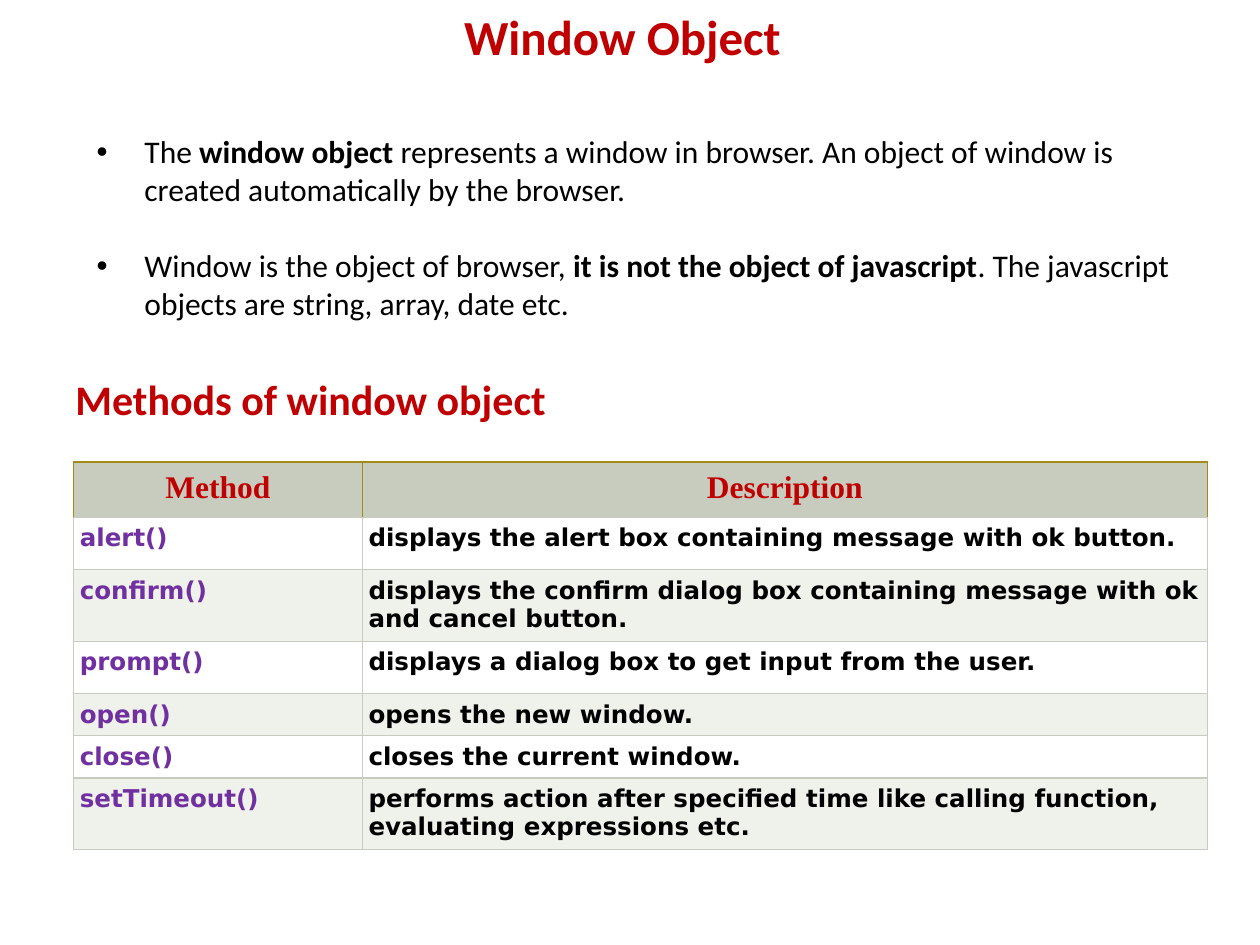
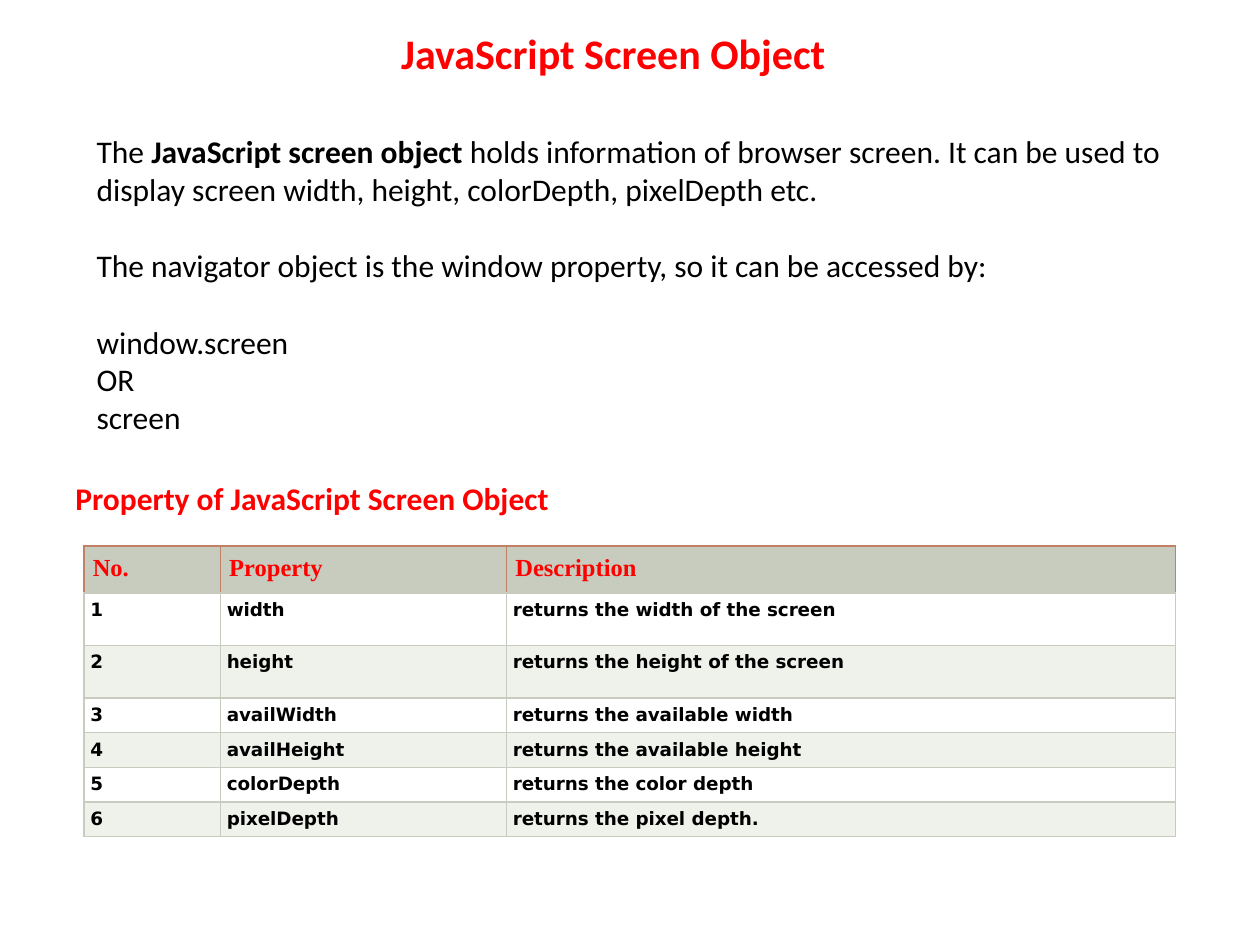
from dataclasses import dataclass
from typing import Any, NamedTuple

from lxml.etree import SubElement
from pptx import Presentation
from pptx.dml.color import RGBColor
from pptx.enum.text import MSO_ANCHOR as Anchor, MSO_AUTO_SIZE as AutoSize, PP_ALIGN as Align
from pptx.oxml.ns import qn
from pptx.util import Inches, Pt

# The slide is a grid of 120 columns by 90 rows, twelve to the inch.
GRID_PER_INCH = 12
SLIDE_COLUMNS, SLIDE_ROWS = 120, 90


@dataclass(frozen=True)
class Theme:
    text_font: str = "Calibri"
    header_font: str = "Times New Roman"
    cell_font: str = "DejaVu Sans"
    ink: str = "000000"
    deep_red: str = "C00000"
    bright_red: str = "FF0000"
    purple: str = "7030A0"
    olive: str = "A08C17"
    copper: str = "C08167"
    sage: str = "C7CCBE"
    bands: tuple[str, str] = ("FFFFFF", "EFF1EB")
    display: float = 28
    heading: float = 24
    body: float = 18
    small: float = 14
    tiny: float = 10.5
    blank_line: float = 22
    border: float = 0.75
    bullet_indent: float = 0.38
    header_inset: float = 0.07
    cell_inset: float = 0.05


THEME = Theme()


class Box(NamedTuple):
    """Left, top, width and height in grid units."""
    left: float
    top: float
    width: float
    height: float


class Heading(NamedTuple):
    text: str
    box: Box
    size: float


class Line(NamedTuple):
    """A body paragraph; text between double asterisks is bold."""
    text: str
    gap: float = 0


class Grid(NamedTuple):
    left: float
    top: float
    columns: tuple[float, ...]
    row_heights: tuple[float, ...]
    rows: tuple[tuple[str, ...], ...]
    header_size: float
    header_align: Align
    header_edge: str
    cell_size: float
    first_column_color: str


class Topic(NamedTuple):
    accent: str
    title: Heading
    body_box: Box
    bulleted: bool
    lines: tuple[Line, ...]
    subheading: Heading
    grid: Grid


TOPICS = (
    Topic(
        THEME.deep_red,
        Heading("Window Object", Box(43, 0, 32.9, 6.8), THEME.display),
        Box(8, 12, 105, 19.4),
        True,
        (
            Line("The **window object** represents a window in browser. "
                 "An object of window is created automatically by the browser."),
            Line("Window is the object of browser, **it is not the object of javascript**. "
                 "The javascript objects are string, array, date etc.", THEME.blank_line),
        ),
        Heading("Methods of window object", Box(6, 35, 47.6, 6), THEME.heading),
        Grid(
            7, 44, (27.5, 80.5), (3.6, 5, 5, 5, 3.1, 3.1, 5),
            (
                ("Method", "Description"),
                ("alert()", "displays the alert box containing message with ok button."),
                ("confirm()", "displays the confirm dialog box containing message "
                              "with ok and cancel button."),
                ("prompt()", "displays a dialog box to get input from the user."),
                ("open()", "opens the new window."),
                ("close()", "closes the current window."),
                ("setTimeout()", "performs action after specified time like calling function, "
                                 "evaluating expressions etc."),
            ),
            THEME.body, Align.CENTER, THEME.olive, THEME.small, THEME.purple,
        ),
    ),
    Topic(
        THEME.bright_red,
        Heading("JavaScript Screen Object", Box(37, 2, 43.2, 6), THEME.heading),
        Box(8, 12, 108, 30.2),
        False,
        (
            Line("The **JavaScript screen object** holds information of browser screen. "
                 "It can be used to display screen width, height, colorDepth, pixelDepth etc."),
            Line("The navigator object is the window property, so it can be accessed by:",
                 THEME.blank_line),
            Line("window.screen", THEME.blank_line),
            Line("OR"),
            Line("screen"),
        ),
        Heading("Property of JavaScript Screen Object", Box(6, 45, 47.9, 4.8), THEME.body),
        Grid(
            8, 52, (13, 27.25, 63.75), (3.6, 5, 5, 3.1, 3.1, 3.1, 3.1),
            (
                ("No.", "Property", "Description"),
                ("1", "width", "returns the width of the screen"),
                ("2", "height", "returns the height of the screen"),
                ("3", "availWidth", "returns the available width"),
                ("4", "availHeight", "returns the available height"),
                ("5", "colorDepth", "returns the color depth"),
                ("6", "pixelDepth", "returns the pixel depth."),
            ),
            THEME.small, Align.LEFT, THEME.copper, THEME.tiny, THEME.ink,
        ),
    ),
)


def units(count: float) -> int:
    return Inches(count / GRID_PER_INCH)


def apply(target: Any, values: dict[str, Any]) -> None:
    for name, value in values.items():
        setattr(target, name, value)


def style_font(font: Any, name: str, size: float, color: str, bold: bool) -> None:
    apply(font, {"name": name, "size": Pt(size), "bold": bold})
    font.color.rgb = RGBColor.from_string(color)


def place(shape: Any, box: Box) -> None:
    apply(shape, dict(zip(box._fields, map(units, box))))


def write_heading(shape: Any, heading: Heading, color: str) -> None:
    place(shape, heading.box)
    frame = shape.text_frame
    frame.text = heading.text
    apply(frame, {"word_wrap": False, "auto_size": AutoSize.SHAPE_TO_FIT_TEXT,
                  "vertical_anchor": Anchor.TOP})
    paragraph = frame.paragraphs[0]
    paragraph.alignment = Align.LEFT
    style_font(paragraph.runs[0].font, THEME.text_font, heading.size, color, True)


def set_bullet(paragraph: Any, bulleted: bool) -> None:
    properties = paragraph._p.get_or_add_pPr()
    indent = Inches(THEME.bullet_indent) if bulleted else 0
    properties.set("marL", str(indent))
    properties.set("indent", str(-indent))
    if bulleted:
        SubElement(properties, qn("a:buFont"), typeface="Arial")
        SubElement(properties, qn("a:buChar"), char="•")
    else:
        SubElement(properties, qn("a:buNone"))


def write_body(shape: Any, topic: Topic) -> None:
    place(shape, topic.body_box)
    frame = shape.text_frame
    apply(frame, {"word_wrap": True, "auto_size": AutoSize.SHAPE_TO_FIT_TEXT})
    for index, line in enumerate(topic.lines):
        paragraph = frame.add_paragraph() if index else frame.paragraphs[0]
        set_bullet(paragraph, topic.bulleted)
        paragraph.space_before = Pt(line.gap)
        for part, text in enumerate(line.text.split("**")):
            run = paragraph.add_run()
            run.text = text
            style_font(run.font, THEME.text_font, THEME.body, THEME.ink, part % 2 == 1)


def set_borders(cell: Any, edge: str, bottom: str) -> None:
    properties = cell._tc.get_or_add_tcPr()
    sides = {"a:lnL": edge, "a:lnR": edge, "a:lnT": edge, "a:lnB": bottom}
    for index, (tag, color) in enumerate(sides.items()):
        line = SubElement(properties, qn(tag), w=str(Pt(THEME.border)))
        fill = SubElement(line, qn("a:solidFill"))
        SubElement(fill, qn("a:srgbClr"), val=color)
        properties.insert(index, line)


def write_cell(cell: Any, text: str, row: int, column: int, grid: Grid, accent: str) -> None:
    header = row == 0
    inset = Inches(THEME.header_inset if header else THEME.cell_inset)
    apply(cell, {f"margin_{side}": inset for side in ("left", "right", "top", "bottom")})
    cell.text = text
    cell.fill.solid()
    cell.fill.fore_color.rgb = RGBColor.from_string(
        THEME.sage if header else THEME.bands[(row - 1) % 2])
    set_borders(cell, grid.header_edge if header else THEME.sage, THEME.sage)
    paragraph = cell.text_frame.paragraphs[0]
    paragraph.alignment = grid.header_align if header else Align.LEFT
    font = paragraph.runs[0].font
    if header:
        style_font(font, THEME.header_font, grid.header_size, accent, True)
    else:
        color = THEME.ink if column else grid.first_column_color
        style_font(font, THEME.cell_font, grid.cell_size, color, True)


def add_grid(slide: Any, grid: Grid, accent: str) -> None:
    lengths = (grid.left, grid.top, sum(grid.columns), sum(grid.row_heights))
    table = slide.shapes.add_table(
        len(grid.rows), len(grid.columns), *map(units, lengths)).table
    for column, width in zip(table.columns, grid.columns):
        column.width = units(width)
    for row, height in zip(table.rows, grid.row_heights):
        row.height = units(height)
    for row_index, texts in enumerate(grid.rows):
        for column_index, text in enumerate(texts):
            write_cell(table.cell(row_index, column_index), text,
                       row_index, column_index, grid, accent)


def add_topic(presentation: Any, topic: Topic) -> None:
    slide = presentation.slides.add_slide(presentation.slide_layouts[1])
    write_heading(slide.shapes.title, topic.title, topic.accent)
    write_body(slide.placeholders[1], topic)
    subheading = slide.shapes.add_textbox(*map(units, topic.subheading.box))
    write_heading(subheading, topic.subheading, topic.accent)
    add_grid(slide, topic.grid, topic.accent)


def main() -> None:
    presentation = Presentation()
    apply(presentation, {"slide_width": units(SLIDE_COLUMNS), "slide_height": units(SLIDE_ROWS)})
    for topic in TOPICS:
        add_topic(presentation, topic)
    presentation.save("out.pptx")


if __name__ == "__main__":
    main()
